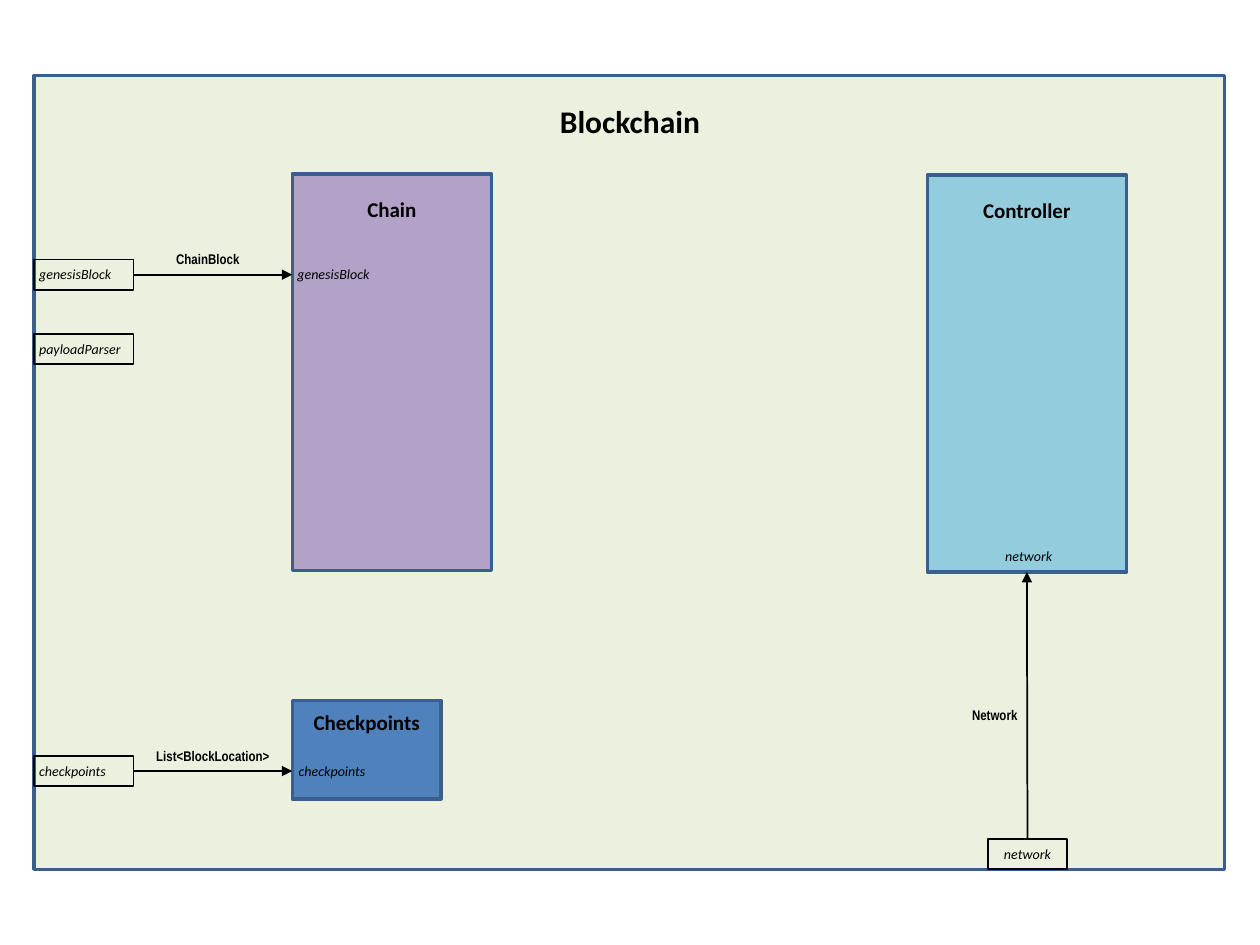
from lxml import etree
from pptx import Presentation
from pptx import util as u
from pptx.dml.color import RGBColor
from pptx.enum import shapes, text
from pptx.oxml.ns import qn

COLORS = {
    "frame": "EBF1DE",
    "chain": "B3A2C7",
    "controller": "93CDDD",
    "checkpoints": "4F81BD",
    "border": "3A5F8C",
    "ink": "000000",
}
LEFT = text.PP_ALIGN.LEFT
CENTER = text.PP_ALIGN.CENTER
LABEL_HEIGHT = 0.24
PORT_WIDTH = 0.79
FRAME_LEFT = 0.27
PANEL_LEFT = 2.32


def color(name):
    return RGBColor.from_string(COLORS[name])


def inches(*values):
    return [u.Inches(value) for value in values]


def add_box(container, bounds, fill, line, width):
    shape = container.shapes.add_shape(shapes.MSO_SHAPE.RECTANGLE, *inches(*bounds))
    shape.shadow.inherit = False
    if fill:
        shape.fill.solid()
        shape.fill.fore_color.rgb = color(fill)
    else:
        shape.fill.background()
    shape.line.color.rgb = color(line)
    shape.line.width = u.Pt(width)
    return shape


def write(shape, words, size, align, font="Calibri", bold=False, italic=False):
    frame = shape.text_frame
    frame.word_wrap = True
    frame.auto_size = text.MSO_AUTO_SIZE.SHAPE_TO_FIT_TEXT
    frame.vertical_anchor = text.MSO_ANCHOR.TOP
    if size == 8:
        frame.margin_left = frame.margin_right = u.Inches(0.04)
    paragraph = frame.paragraphs[0]
    paragraph.text = words
    paragraph.alignment = align
    paragraph.font.name = font
    paragraph.font.size = u.Pt(size)
    paragraph.font.bold = bold
    paragraph.font.italic = italic
    paragraph.font.color.rgb = color("ink")


def add_title(container, words, bounds, size=12):
    shape = container.shapes.add_textbox(*inches(*bounds))
    write(shape, words, size, CENTER, bold=True)
    shape.text_frame.vertical_anchor = text.MSO_ANCHOR.MIDDLE


def add_panel(slide, words, fill, bounds, title_bounds):
    group = slide.shapes.add_group_shape()
    panel = add_box(group, bounds, fill, "border", 2)
    add_title(group, words, title_bounds)
    return group, panel


def add_port(slide, words, left, top, width=PORT_WIDTH, align=LEFT):
    shape = add_box(slide, (left, top, width, LABEL_HEIGHT), None, "ink", 1)
    write(shape, words, 8, align, italic=True)
    return shape


def add_input_name(container, words, left, top, width, align=LEFT):
    shape = container.shapes.add_textbox(*inches(left, top, width, LABEL_HEIGHT))
    write(shape, words, 8, align, italic=True)


def add_type_name(slide, words, left, top, width):
    shape = slide.shapes.add_textbox(*inches(left, top, width, LABEL_HEIGHT))
    write(shape, words, 8, CENTER, font="Arial Narrow", bold=True)


def add_arrow(slide, port, side, end):
    arrow = slide.shapes.add_connector(
        shapes.MSO_CONNECTOR.STRAIGHT, port.left, port.top, *inches(*end)
    )
    arrow.begin_connect(port, side)
    arrow.line.color.rgb = color("ink")
    arrow.line.width = u.Pt(1)
    etree.SubElement(arrow.line._get_or_add_ln(), qn("a:tailEnd"), type="triangle")
    etree.SubElement(arrow._element.spPr, qn("a:effectLst"))
    return arrow


def main():
    presentation = Presentation()
    presentation.slide_width, presentation.slide_height = inches(10, 7.5)
    slide = presentation.slides.add_slide(presentation.slide_layouts[6])

    add_box(slide, (FRAME_LEFT, 0.6, 9.45, 6.3), "frame", "border", 2)
    add_title(slide, "Blockchain", (4.21, 0.76, 1.58, 0.4), 18)

    chain, _ = add_panel(slide, "Chain", "chain",
                         (PANEL_LEFT, 1.38, 1.58, 3.15), (2.44, 1.51, 1.34, 0.3))
    add_input_name(chain, "genesisBlock", PANEL_LEFT, 2.06, 0.67)
    _, controller = add_panel(slide, "Controller", "controller",
                              (7.36, 1.39, 1.58, 3.15), (7.48, 1.52, 1.34, 0.3))
    checkpoints, _ = add_panel(slide, "Checkpoints", "checkpoints",
                               (PANEL_LEFT, 5.56, 1.18, 0.78), (PANEL_LEFT, 5.58, 1.18, 0.3))
    add_input_name(checkpoints, "checkpoints", 2.33, 6, 0.67)
    add_input_name(slide, "network", 7.86, 4.3, 0.61, CENTER)

    genesis_port = add_port(slide, "genesisBlock", FRAME_LEFT, 2.06)
    add_port(slide, "payloadParser", FRAME_LEFT, 2.65)
    checkpoints_port = add_port(slide, "checkpoints", FRAME_LEFT, 6)
    network_port = add_port(slide, "network", 7.84, 6.66, 0.63, CENTER)

    add_arrow(slide, genesis_port, 3, (PANEL_LEFT, 2.18))
    add_arrow(slide, checkpoints_port, 3, (PANEL_LEFT, 6.12))
    network_arrow = add_arrow(slide, network_port, 0, (8.15, 4.54))
    network_arrow.end_connect(controller, 2)

    add_type_name(slide, "ChainBlock", 1.14, 1.94, 1.02)
    add_type_name(slide, "List<BlockLocation>", 1.14, 5.88, 1.1)
    add_type_name(slide, "Network", 7.65, 5.56, 0.49)

    presentation.save("out.pptx")


if __name__ == "__main__":
    main()
